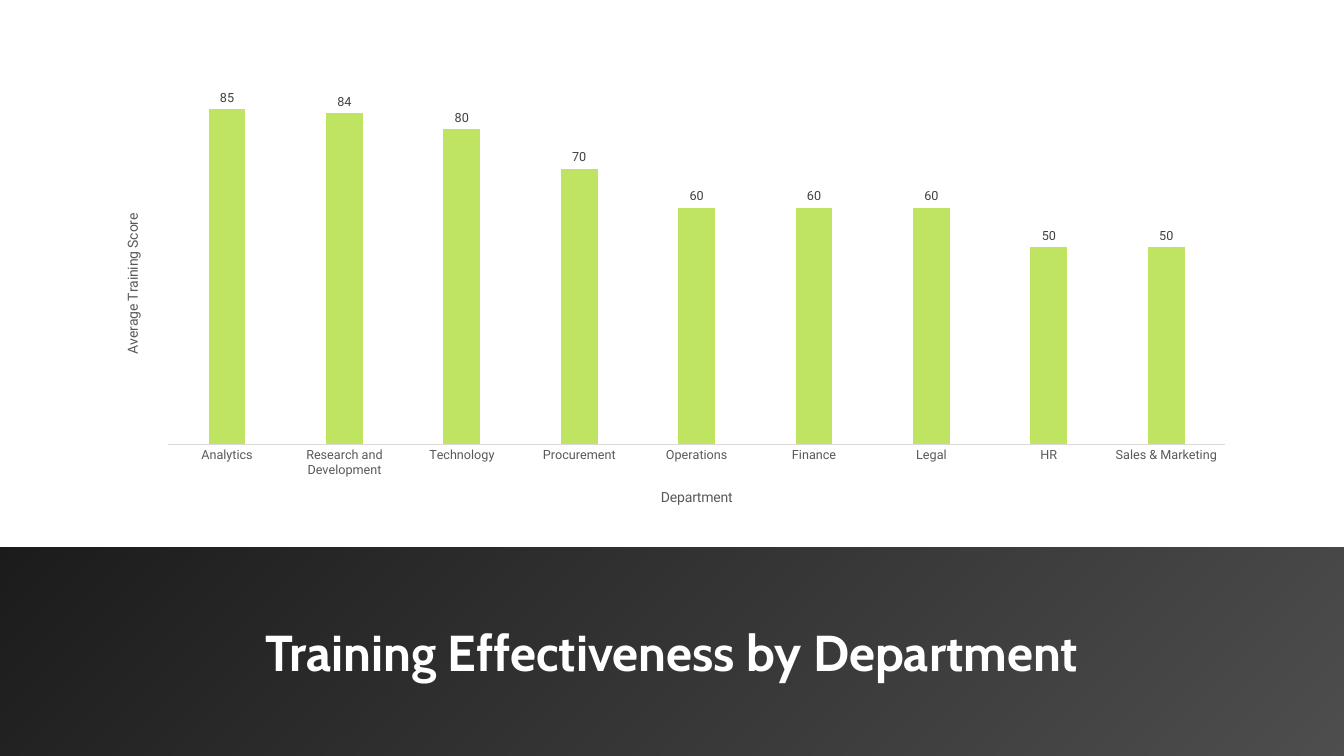
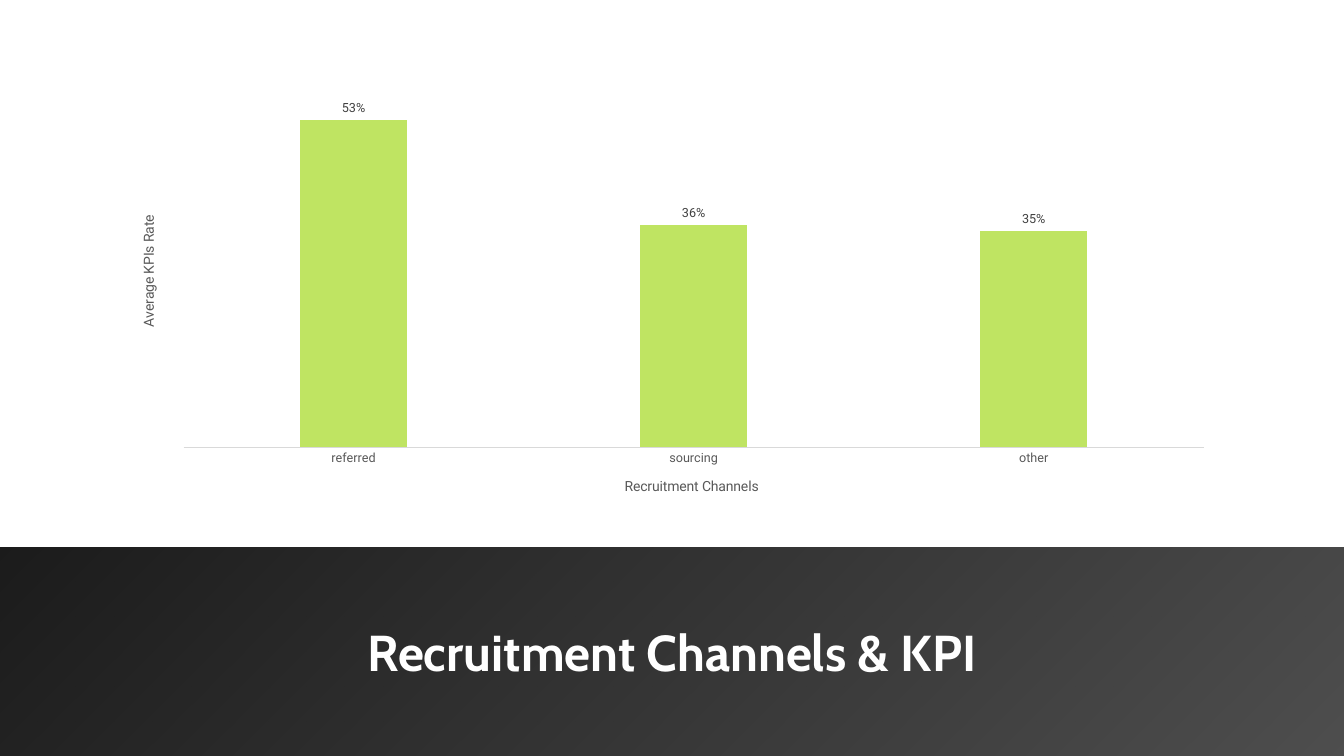
import lxml.etree
import pptx
import pptx.chart.data
import pptx.dml.color
import pptx.enum.chart
import pptx.enum.shapes
import pptx.enum.text
import pptx.oxml
import pptx.oxml.ns
import pptx.util

Inches, Pt = pptx.util.Inches, pptx.util.Pt
RGBColor = pptx.dml.color.RGBColor
qn = pptx.oxml.ns.qn

WHITE = RGBColor(0xFF, 0xFF, 0xFF)
BLACK = RGBColor(0x00, 0x00, 0x00)
BAR_GREEN = RGBColor(0xBF, 0xE4, 0x62)
AXIS_LINE = RGBColor(0xD9, 0xD9, 0xD9)
AXIS_TEXT = RGBColor(0x59, 0x59, 0x59)
LABEL_TEXT = RGBColor(0x40, 0x40, 0x40)

HEADING_FONT, CHART_FONT = "Cabin", "Roboto"
SLIDE_WIDTH, SLIDE_HEIGHT = 13.33, 7.5
BAND_BOX = (0, 5.43, SLIDE_WIDTH, 2.07)
BAND_OPACITIES = (70, 90)
CHART_LEFT, CHART_WIDTH, CHART_HEIGHT = 1.17, 11, 4.43

# Positions inside a chart are inches from its top left corner
SLIDES = [
    dict(
        heading="Training Effectiveness by Department",
        top=0.89,
        categories=["Analytics", "Research and Development", "Technology",
                    "Procurement", "Operations", "Finance", "Legal", "HR",
                    "Sales & Marketing"],
        values=[85, 84, 80, 70, 60, 60, 60, 50, 50],
        number_format="0", maximum=90,
        plot_layout=dict(x=0.5, y=0, w=10.48, h=3.52),
        category_title=("Department", dict(x=5.36, y=3.93)),
        value_title=("Average Training Score", dict(x=0.03, y=1.2)),
    ),
    dict(
        heading="Recruitment Channels & KPI",
        top=0.68,
        categories=["referred", "sourcing", "other"],
        values=[0.53, 0.36, 0.35],
        number_format="0%", maximum=0.6,
        plot_layout=dict(x=0.65, y=0.08, w=10.12, h=3.68),
        category_title=("Recruitment Channels", dict(x=5, y=4.03)),
        value_title=("Average KPIs Rate", dict(x=0.19, y=1.43)),
    ),
]


def style_font(font, name, size, color, bold=False):
    font.name, font.size, font.bold = name, Pt(size), bold
    font.color.rgb = color


def layout_element(lengths):
    """Manual chart layout, as fractions of the chart's size."""
    target = '<c:layoutTarget val="inner"/>' if "w" in lengths else ""
    extent = dict(x=CHART_WIDTH, w=CHART_WIDTH, y=CHART_HEIGHT, h=CHART_HEIGHT)
    sizes = "".join(f'<c:{key} val="{length / extent[key]}"/>'
                    for key, length in lengths.items())
    return pptx.oxml.parse_xml(
        f'<c:layout {pptx.oxml.ns.nsdecls("c")}><c:manualLayout>{target}'
        f'<c:xMode val="edge"/><c:yMode val="edge"/>{sizes}'
        '</c:manualLayout></c:layout>')


def set_layout(parent, lengths):
    for old in parent.findall(qn("c:layout")):
        parent.remove(old)
    text = parent.find(qn("c:tx"))
    parent.insert(0 if text is None else 1, layout_element(lengths))


def add_axis_title(axis, text, lengths, vertical=False):
    frame = axis.axis_title.text_frame
    run = frame.paragraphs[0].add_run()
    run.text = text
    style_font(run.font, CHART_FONT, 10, AXIS_TEXT)
    if vertical:
        body = frame._txBody.find(qn("a:bodyPr"))
        body.set("rot", "-5400000")
        body.set("vert", "horz")
    set_layout(axis.axis_title._element, lengths)


def add_heading_band(slide, box, heading):
    left, top, width, height = box
    # Band of black that thins out towards the lower right
    band = slide.shapes.add_shape(
        pptx.enum.shapes.MSO_SHAPE.RECTANGLE, *map(Inches, box))
    band.shadow.inherit = False
    band.line.fill.background()
    band.fill.gradient()
    band.fill.gradient_angle = 135
    for stop in band.fill.gradient_stops:
        stop.color.rgb = BLACK
    stop_colors = band._element.spPr.find(qn("a:gradFill")).iter(qn("a:srgbClr"))
    for color, opacity in zip(stop_colors, BAND_OPACITIES):
        lxml.etree.SubElement(color, qn("a:alpha"), val=str(opacity * 1000))

    # Heading
    margin = 0.94
    frame = slide.shapes.add_textbox(
        Inches(left + margin), Inches(top + 0.68),
        Inches(width - 2 * margin), Inches(0.71)).text_frame
    frame.word_wrap = True
    paragraph = frame.paragraphs[0]
    paragraph.alignment = pptx.enum.text.PP_ALIGN.CENTER
    run = paragraph.add_run()
    run.text = heading
    style_font(run.font, HEADING_FONT, 36, WHITE, bold=True)


def add_column_chart(slide, box, content):
    data = pptx.chart.data.CategoryChartData(number_format=content["number_format"])
    data.categories = content["categories"]
    data.add_series("Series 1", content["values"])
    chart = slide.shapes.add_chart(
        pptx.enum.chart.XL_CHART_TYPE.COLUMN_CLUSTERED,
        *map(Inches, box), data).chart
    chart.has_title = chart.has_legend = False
    style_font(chart.font, CHART_FONT, 10, AXIS_TEXT)

    # Columns and their values
    plot = chart.plots[0]
    plot.gap_width, plot.overlap = 219, -27
    plot.vary_by_categories = False
    columns = plot.series[0]
    columns.format.fill.solid()
    columns.format.fill.fore_color.rgb = BAR_GREEN
    labels = columns.data_labels
    labels.show_value = True
    labels.position = pptx.enum.chart.XL_LABEL_POSITION.OUTSIDE_END
    labels.number_format = content["number_format"]
    labels.number_format_is_linked = False
    style_font(labels.font, CHART_FONT, 9, LABEL_TEXT)

    # Axes
    categories, scores = chart.category_axis, chart.value_axis
    categories.major_tick_mark = pptx.enum.chart.XL_TICK_MARK.NONE
    categories.format.line.color.rgb = AXIS_LINE
    categories.format.line.width = Pt(0.75)
    style_font(categories.tick_labels.font, CHART_FONT, 9, AXIS_TEXT)
    scores.minimum_scale, scores.maximum_scale = 0, content["maximum"]
    scores.has_major_gridlines = False
    scores.visible = False
    add_axis_title(categories, *content["category_title"])
    add_axis_title(scores, *content["value_title"], vertical=True)

    plot_area = chart._chartSpace.find(qn("c:chart")).find(qn("c:plotArea"))
    set_layout(plot_area, content["plot_layout"])


def add_chart_slide(deck, content):
    slide = deck.slides.add_slide(deck.slide_layouts[6])
    add_heading_band(slide, BAND_BOX, content["heading"])
    chart_box = (CHART_LEFT, content["top"], CHART_WIDTH, CHART_HEIGHT)
    add_column_chart(slide, chart_box, content)


def main():
    deck = pptx.Presentation()
    deck.slide_width = Inches(SLIDE_WIDTH)
    deck.slide_height = Inches(SLIDE_HEIGHT)
    for content in SLIDES:
        add_chart_slide(deck, content)
    deck.save("out.pptx")


if __name__ == "__main__":
    main()
